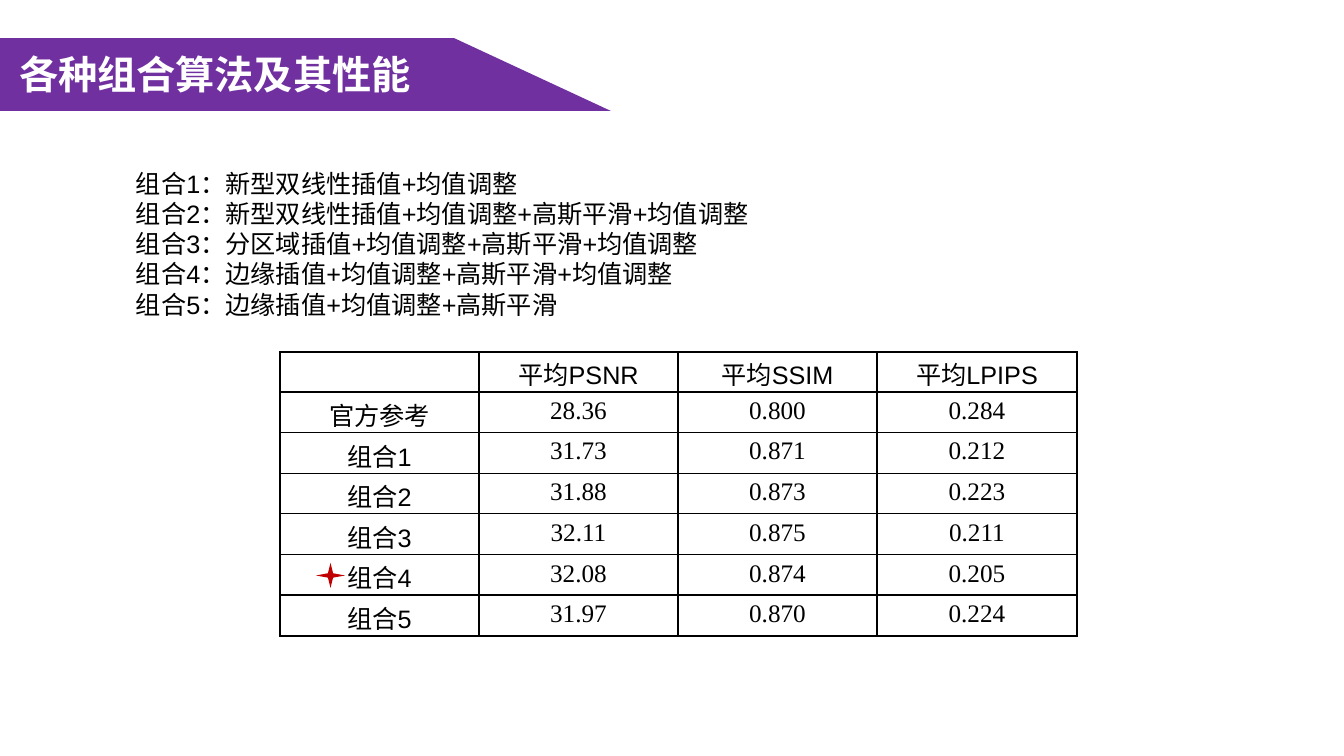
from dataclasses import dataclass

from lxml import etree
from pptx import Presentation
from pptx import util as u
from pptx.dml.color import RGBColor
from pptx.enum import shapes, text
from pptx.oxml.ns import qn

PX = 914400 / 100.8  # EMU per px
PURPLE = RGBColor(0x70, 0x30, 0xA0)
RED = RGBColor(0xC0, 0x00, 0x00)
BLACK = RGBColor(0, 0, 0)
WHITE = RGBColor(0xFF, 0xFF, 0xFF)
SANS, SERIF = "Arial", "Times New Roman"


@dataclass
class Box:
    left: int
    top: int
    width: int
    height: int

    def emu(self) -> list[u.Emu]:
        return [px(n) for n in (self.left, self.top, self.width, self.height)]


@dataclass
class Result:
    label: str
    psnr: str
    ssim: str
    lpips: str

    def cells(self) -> list[str]:
        return [self.label, self.psnr, self.ssim, self.lpips]


TITLE = "各种组合算法及其性能"
COMBINATIONS = [
    "新型双线性插值+均值调整",
    "新型双线性插值+均值调整+高斯平滑+均值调整",
    "分区域插值+均值调整+高斯平滑+均值调整",
    "边缘插值+均值调整+高斯平滑+均值调整",
    "边缘插值+均值调整+高斯平滑",
]
RESULTS = [
    Result("", "平均PSNR", "平均SSIM", "平均LPIPS"),
    Result("官方参考", "28.36", "0.800", "0.284"),
    Result("组合1", "31.73", "0.871", "0.212"),
    Result("组合2", "31.88", "0.873", "0.223"),
    Result("组合3", "32.11", "0.875", "0.211"),
    Result("组合4", "32.08", "0.874", "0.205"),
    Result("组合5", "31.97", "0.870", "0.224"),
]


def px(n: int) -> u.Emu:
    return u.Emu(round(n * PX))


def style(p, size: int, color: RGBColor, name: str = SANS, bold: bool = False) -> None:
    p.font.size = u.Pt(size)
    p.font.name = name
    p.font.bold = bold
    p.font.color.rgb = color


def paint(sp, color: RGBColor) -> None:
    sp.shadow.inherit = False
    sp.fill.solid()
    sp.fill.fore_color.rgb = color
    sp.line.fill.background()


def add_banner(slide, left: int) -> None:
    top, bottom = 38, 111
    builder = slide.shapes.build_freeform(left, top, scale=PX)
    builder.add_line_segments(
        [(left + 328, top), (left + 485, bottom), (left, bottom)], close=True)
    paint(builder.convert_to_shape(), PURPLE)


def add_title(slide, box: Box) -> None:
    sp = slide.shapes.title
    slide.shapes.element.append(sp.element)  # bring in front of the banner
    sp.left, sp.top, sp.width, sp.height = box.emu()
    sp.fill.solid()
    sp.fill.fore_color.rgb = PURPLE
    tf = sp.text_frame
    tf.text = TITLE
    tf.auto_size = text.MSO_AUTO_SIZE.NONE
    tf.vertical_anchor = text.MSO_ANCHOR.MIDDLE
    p = tf.paragraphs[0]
    p.alignment = text.PP_ALIGN.LEFT
    style(p, 28, WHITE, bold=True)


def add_combinations(slide, box: Box) -> None:
    tf = slide.shapes.add_textbox(*box.emu()).text_frame
    tf.word_wrap = True
    tf.text = "\n".join(
        f"组合{i}：{steps}" for i, steps in enumerate(COMBINATIONS, 1))
    for p in tf.paragraphs:
        style(p, 18, BLACK)


def add_borders(cell) -> None:
    tc_pr = cell._tc.get_or_add_tcPr()
    for i, side in enumerate(("lnL", "lnR", "lnT", "lnB")):
        ln = etree.Element(qn(f"a:{side}"), w=str(u.Pt(1)))
        fill = etree.SubElement(ln, qn("a:solidFill"))
        etree.SubElement(fill, qn("a:srgbClr"), val=str(BLACK))
        tc_pr.insert(i, ln)


def add_results(slide, box: Box) -> None:
    rows, cols = len(RESULTS), len(RESULTS[0].cells())
    table = slide.shapes.add_table(rows, cols, *box.emu()).table
    table.first_row = table.horz_banding = False
    for c, column in enumerate(table.columns):
        column.width = px(box.width * (c + 1) // cols - box.width * c // cols)
    for r, result in enumerate(RESULTS):
        table.rows[r].height = px(
            box.height * (r + 1) // rows - box.height * r // rows)
        for c, value in enumerate(result.cells()):
            cell = table.cell(r, c)
            cell.text = value
            cell.fill.background()
            add_borders(cell)
            is_label = r == 0 or c == 0
            if is_label:
                cell.vertical_anchor = text.MSO_ANCHOR.BOTTOM
                cell.margin_top = cell.margin_bottom = 0
            p = cell.text_frame.paragraphs[0]
            p.alignment = text.PP_ALIGN.CENTER
            style(p, 18, BLACK, SANS if is_label else SERIF)


def main() -> None:
    prs = Presentation()
    prs.slide_width, prs.slide_height = px(1344), px(756)
    slide = prs.slides.add_slide(prs.slide_layouts.get_by_name("Title Only"))

    # Title banner
    for left in (126, 0):
        add_banner(slide, left)
    add_title(slide, Box(9, 45, 429, 57))

    # Combinations and their results
    add_combinations(slide, Box(126, 163, 810, 162))
    add_results(slide, Box(280, 352, 797, 283))

    # Marker of the chosen combination
    star = slide.shapes.add_shape(
        shapes.MSO_SHAPE.STAR_4_POINT, *Box(316, 563, 29, 25).emu())
    paint(star, RED)

    prs.save("out.pptx")


if __name__ == "__main__":
    main()
